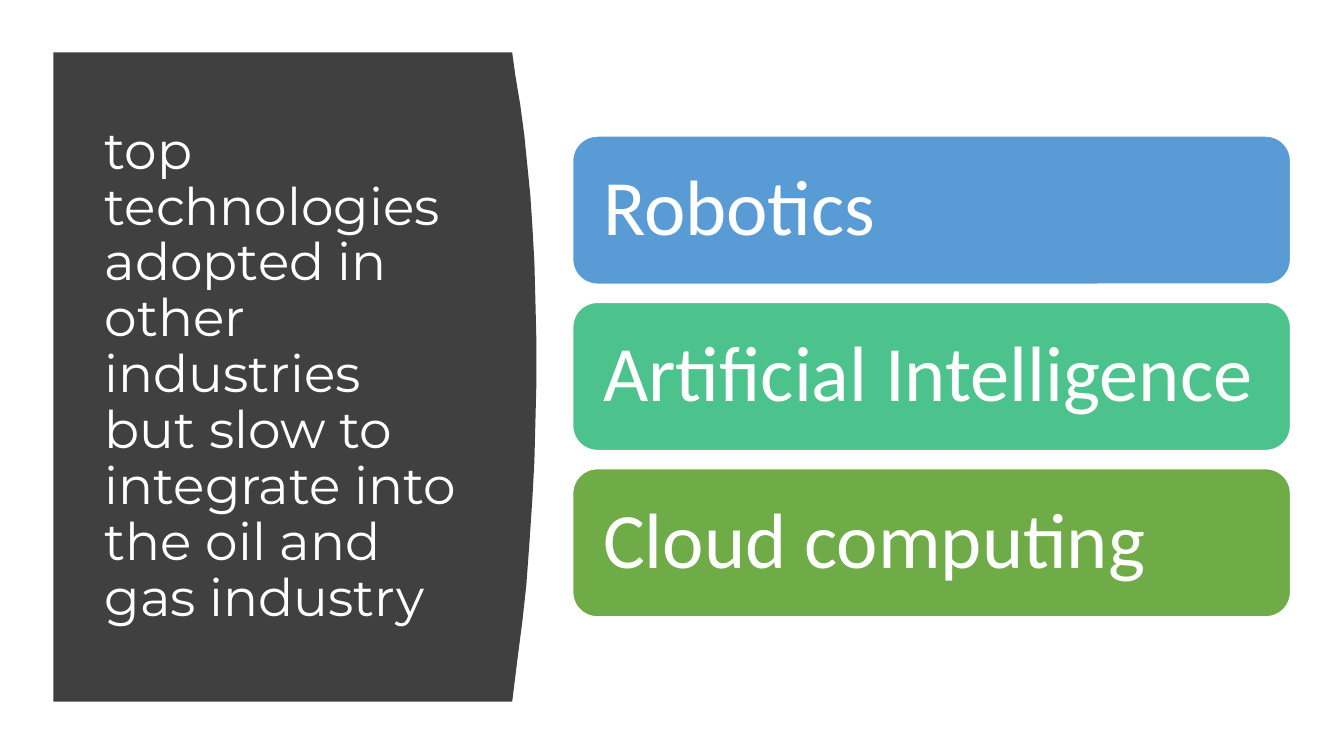
from pptx import Presentation
from pptx.dml.color import RGBColor
from pptx.enum.shapes import MSO_SHAPE
from pptx.enum.text import MSO_ANCHOR, MSO_AUTO_SIZE, PP_ALIGN
from pptx.util import Pt

PX = 9144  # 100 px to the inch


def paint(colour_format, colour):
    colour_format.solid()
    colour_format.fore_color.rgb = RGBColor.from_string(colour)


def write(frame, text, font, size, inset_x, inset_y):
    """Fill a frame with white, left-aligned, vertically centred text."""
    frame.text = text
    frame.word_wrap = True
    frame.auto_size = MSO_AUTO_SIZE.NONE
    frame.vertical_anchor = MSO_ANCHOR.MIDDLE
    frame.margin_left = frame.margin_right = inset_x * PX
    frame.margin_top = frame.margin_bottom = inset_y * PX
    paragraph = frame.paragraphs[0]
    paragraph.alignment = PP_ALIGN.LEFT
    paragraph.line_spacing = 0.9
    run_font = paragraph.runs[0].font
    run_font.name = font
    run_font.size = Pt(size)
    paint(run_font.fill, "FFFFFF")


prs = Presentation()
prs.slide_width, prs.slide_height = 1333 * PX, 750 * PX
slide = prs.slides.add_slide(prs.slide_layouts[5])
shapes = slide.shapes

# Dark panel with a bulging right edge
LEFT, TOP, BOTTOM = 53, 52, 696
bulge = [
    (508, TOP), (511, 74), (516, 104), (520, 134), (523, 164), (526, 194),
    (528, 224), (530, 260), (531, 297), (532, 339), (532, 380), (531, 420),
    (530, 458), (528, 495), (525, 540), (522, 581), (518, 617), (514, 648),
    (511, 672), (508, BOTTOM),
]
outline = shapes.build_freeform(LEFT, TOP, scale=PX)
outline.add_line_segments(bulge + [(LEFT, BOTTOM)], close=True)
panel = outline.convert_to_shape()
panel.shadow.inherit = False
paint(panel.fill, "404040")
panel.line.fill.background()

# Title sits in front of the panel
title = shapes.title
panel.element.addnext(title.element)
title.left, title.top, title.width, title.height = (
    n * PX for n in (94, 111, 374, 524))
write(title.text_frame,
      "top technologies adopted in other industries but slow to "
      "integrate into the oil and gas industry",
      "Montserrat", 37, 10, 5)

# Technology cards
CARD_LEFT, FIRST_TOP, CARD_WIDTH, CARD_HEIGHT, GAP = 568, 135, 712, 147, 18
technologies = [
    ("Robotics", "599BD5"),
    ("Artificial Intelligence", "4CC38C"),
    ("Cloud computing", "6FAB46"),
]
for row, (technology, colour) in enumerate(technologies):
    card_top = FIRST_TOP + row * (CARD_HEIGHT + GAP)
    card = shapes.add_shape(
        MSO_SHAPE.ROUNDED_RECTANGLE,
        CARD_LEFT * PX, card_top * PX, CARD_WIDTH * PX, CARD_HEIGHT * PX)
    card.shadow.inherit = False
    paint(card.fill, colour)
    paint(card.line.fill, "FFFFFF")
    card.line.width = Pt(1)
    write(card.text_frame, technology, "Calibri", 56, 23, 23)

prs.save("out.pptx")
